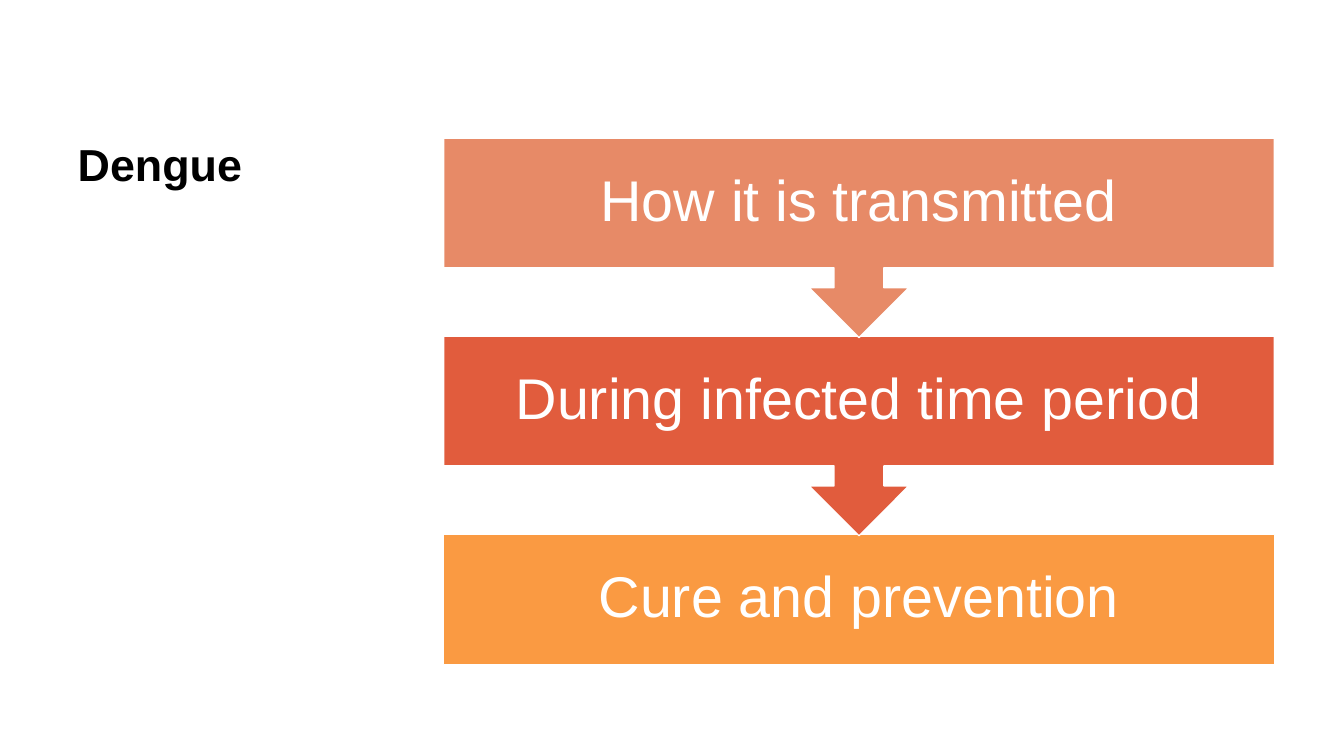
import pptx
import pptx.util
import pptx.dml.color
import pptx.enum.shapes
import pptx.enum.text

Inches, Pt = pptx.util.Inches, pptx.util.Pt
RGB = pptx.dml.color.RGBColor
SHAPE = pptx.enum.shapes.MSO_SHAPE
ANCHOR = pptx.enum.text.MSO_ANCHOR
ALIGN = pptx.enum.text.PP_ALIGN

BLACK = RGB(0x00, 0x00, 0x00)
WHITE = RGB(0xFF, 0xFF, 0xFF)
SALMON = RGB(0xE7, 0x8A, 0x67)
RED = RGB(0xE1, 0x5C, 0x3D)
ORANGE = RGB(0xFA, 0x9A, 0x42)

TITLE = "Dengue"
STEPS = [
    ("How it is transmitted", SALMON),
    ("During infected time period", RED),
    ("Cure and prevention", ORANGE),
]
TOP = 1.37
LEFT, WIDTH = 4.4, 8.24
BOX, CALLOUT = 1.29, 1.98  # heights without and with the arrow
PITCH = 1.965


def write(shape, text, align, anchor, font):
    frame = shape.text_frame
    frame.word_wrap = True
    frame.auto_size = pptx.enum.text.MSO_AUTO_SIZE.NONE
    frame.vertical_anchor = anchor
    frame.text = text
    para = frame.paragraphs[0]
    para.alignment = align
    para.line_spacing = 0.9
    run = para.runs[0]
    run.font.name = "Arial"
    for key in ("size", "bold"):
        setattr(run.font, key, font[key])
    run.font.color.rgb = font["color"]


def add_step(slide, index, text, color):
    last = index == len(STEPS) - 1
    kind = SHAPE.RECTANGLE if last else SHAPE.DOWN_ARROW_CALLOUT
    shape = slide.shapes.add_shape(
        kind, Inches(LEFT), Inches(TOP + index * PITCH),
        Inches(WIDTH), Inches(BOX if last else CALLOUT))
    shape.shadow.inherit = False
    shape.fill.solid()
    shape.fill.fore_color.rgb = color
    shape.line.color.rgb = WHITE
    shape.line.width = Pt(1)
    for side in ("left", "top", "right", "bottom"):
        setattr(shape.text_frame, "margin_" + side, Inches(0.32))
    write(shape, text, ALIGN.CENTER, ANCHOR.MIDDLE,
          {"size": Pt(41), "bold": False, "color": WHITE})


def main():
    deck = pptx.Presentation()
    deck.slide_width, deck.slide_height = Inches(13.33), Inches(7.5)
    slide = deck.slides.add_slide(deck.slide_layouts[5])

    title = slide.shapes.title
    title.left, title.top = Inches(0.67), Inches(TOP)
    title.width, title.height = Inches(3.18), Inches(5.22)
    write(title, TITLE, ALIGN.LEFT, ANCHOR.TOP,
          {"size": Pt(32), "bold": True, "color": BLACK})

    # Last step first, so that each arrow tip lies over the next box
    for index, (text, color) in reversed(list(enumerate(STEPS))):
        add_step(slide, index, text, color)
    deck.save("out.pptx")


if __name__ == "__main__":
    main()
